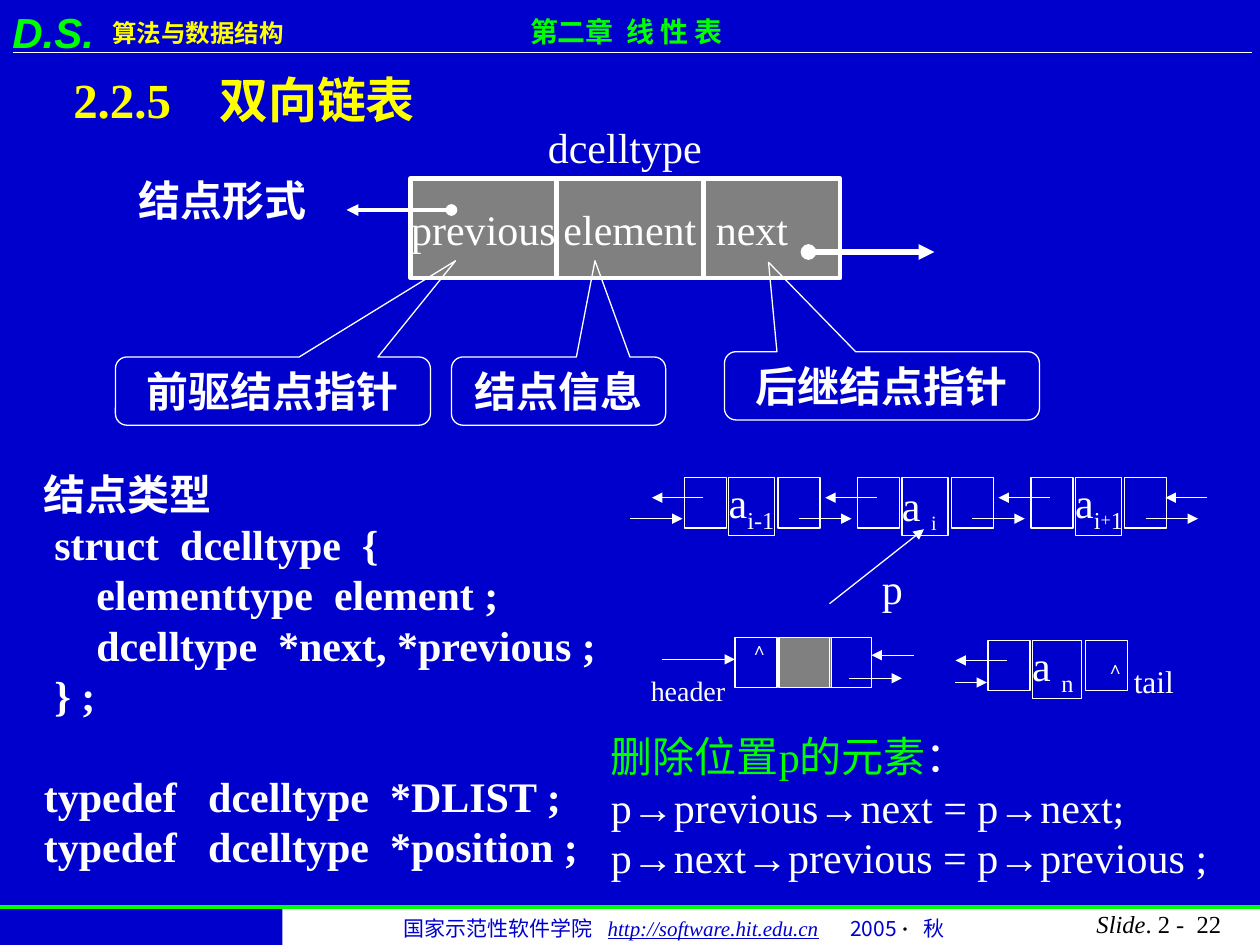
from pptx import Presentation
from pptx.dml.color import RGBColor
from pptx.enum.shapes import MSO_CONNECTOR, MSO_SHAPE
from pptx.enum.text import MSO_ANCHOR, PP_ALIGN
from pptx.oxml.ns import qn
from pptx.util import Inches, Pt
from lxml.etree import SubElement

BLUE = RGBColor(0x00, 0x00, 0xCC)
WHITE = RGBColor(0xFF, 0xFF, 0xFF)
BLACK = RGBColor(0x00, 0x00, 0x00)
YELLOW = RGBColor(0xFF, 0xFF, 0x00)
GREEN = RGBColor(0x00, 0xFF, 0x00)
GRAY = RGBColor(0x80, 0x80, 0x80)
SERIF, SANS, CJK = "Times New Roman", "Arial", "Noto Sans CJK SC"
COLUMNS, ROWS = 120, 90
WIDTH, HEIGHT = Inches(10), Inches(7.5)
CELL_WIDTH, CELL_HEIGHT = 4, 4.8


def col(count):
    return int(WIDTH * count / COLUMNS)


def row(count):
    return int(HEIGHT * count / ROWS)


def box_at(left, top, width, height):
    return col(left), row(top), col(width), row(height)


def style(font, size=None, color=None, bold=None, italic=None, name=None, underline=None):
    values = {"bold": bold, "italic": italic, "name": name, "underline": underline,
              "size": Pt(size) if size else None}
    for key, value in values.items():
        if value is not None:
            setattr(font, key, value)
    if color is not None:
        font.color.rgb = color


def add_tabs(paragraph, stops):
    tab_list = SubElement(paragraph._p.get_or_add_pPr(), qn("a:tabLst"))
    for stop in stops:
        SubElement(tab_list, qn("a:tab"), pos=str(col(stop)), algn="l")


def write(frame, lines, size=24, color=WHITE, bold=False, italic=False, name=SERIF,
          align=PP_ALIGN.LEFT, tabs=()):
    for index, line in enumerate(lines):
        paragraph = frame.add_paragraph() if index else frame.paragraphs[0]
        if tabs:
            add_tabs(paragraph, tabs)
        paragraph.alignment = align
        paragraph.line_spacing = Pt(1.2 * size)
        style(paragraph.font, size, color, bold, italic, name)
        SubElement(paragraph._p.pPr.find(qn("a:defRPr")), qn("a:ea"), typeface=CJK)
        for text, changes in [(line, {})] if isinstance(line, str) else line:
            run = paragraph.add_run()
            run.text = text
            changes = dict(changes)
            if changes.pop("subscript", False):
                run._r.get_or_add_rPr().set("baseline", "-25000")
            style(run.font, **changes)


def add_text(slide, place, lines, wrap=False, **look):
    frame = slide.shapes.add_textbox(*box_at(*place)).text_frame
    frame.word_wrap = wrap
    write(frame, lines, **look)
    return frame


def add_box(slide, place, fill=None, line=0.75, kind=MSO_SHAPE.RECTANGLE):
    box = slide.shapes.add_shape(kind, *box_at(*place))
    box.shadow.inherit = False
    if fill is None:
        box.fill.background()
    else:
        box.fill.solid()
        box.fill.fore_color.rgb = fill
    if line:
        box.line.color.rgb = WHITE
        box.line.width = Pt(line)
    else:
        box.line.fill.background()
    return box


def add_line(slide, start, end, width=0.75, color=WHITE, head=None, tail="triangle"):
    line = slide.shapes.add_connector(MSO_CONNECTOR.STRAIGHT, col(start[0]), row(start[1]),
                                      col(end[0]), row(end[1]))
    line.line.color.rgb = color
    line.line.width = Pt(width)
    for tag, shape_type in (("a:headEnd", head), ("a:tailEnd", tail)):
        if shape_type:
            SubElement(line.line._get_or_add_ln(), qn(tag), type=shape_type)
    SubElement(line._element.spPr, qn("a:effectLst"))


def add_field(slide, left, width, name, align):
    field = add_box(slide, (left, 17, width, 9.5), GRAY, 2.5)
    field.text_frame.word_wrap = False
    field.text_frame.vertical_anchor = MSO_ANCHOR.MIDDLE
    write(field.text_frame, [name], align=align)


def add_callout(slide, place, label, tip):
    callout = add_box(slide, place, kind=MSO_SHAPE.ROUNDED_RECTANGULAR_CALLOUT)
    for index, value in enumerate((*tip, 0.17)):
        callout.adjustments[index] = value
    callout.text_frame.word_wrap = True
    callout.text_frame.vertical_anchor = MSO_ANCHOR.MIDDLE
    write(callout.text_frame, [label], bold=True, align=PP_ALIGN.CENTER)


def add_node(slide, left, top, label=None, middle_width=4.4, next_column=8.9,
             to_previous=True, to_next=True):
    middle_height = 5.5 if label else CELL_HEIGHT
    middle = add_box(slide, (left + 4.2, top, middle_width, middle_height),
                     None if label else GRAY)
    if label:
        frame = middle.text_frame
        frame.word_wrap = False
        frame.vertical_anchor = MSO_ANCHOR.TOP
        frame.margin_left = frame.margin_right = frame.margin_bottom = 0
        frame.margin_top = row(0.6)
        write(frame, [label])
    for column in (0, next_column):
        add_box(slide, (left + column, top, CELL_WIDTH, CELL_HEIGHT))
    if to_next:
        add_line(slide, (left + 10.9, top + 3.9), (left + 15.9, top + 3.9))
    if to_previous:
        add_line(slide, (left + 1.8, top + 1.9), (left - 3.1, top + 1.9))


def add_frame(slide):
    add_text(slide, (9.5, 1.1, 23, 4.1), ["算法与数据结构"], True, size=14, color=YELLOW,
             bold=True, name=CJK)
    add_line(slide, (1.2, 5), (119.2, 5), tail=None)
    add_text(slide, (0, 0, 12, 6), ["D.S."], True, color=GREEN, bold=True, italic=True,
             name=SANS)
    add_line(slide, (0, 86.4), (120, 86.4), 2, GREEN, tail=None)
    add_text(slide, (49.3, 0.8, 23.6, 4.4), ["第二章  线 性 表"], True, size=16,
             color=GREEN, bold=True)
    add_box(slide, (26.9, 86.6, 93.1, 3.4), WHITE, None)
    footer = [("国家示范性软件学院\t", {"name": CJK}),
              ("http://software.hit.edu.cn", {"italic": True, "underline": True}),
              ("\t", {}), ("2005 ", {"name": CJK}), ("·", {"color": BLACK, "bold": True}),
              ("\t秋", {"name": CJK})]
    add_text(slide, (37.3, 86.6, 56.6, 3.6), [footer], True, size=12, color=BLUE,
             tabs=(19.4, 42.5, 49.5))
    add_text(slide, (99.7, 86, 17.8, 4.1), [[("Slide", {"italic": True}), (". 2 -  22", {})]],
             True, size=14, color=BLACK, align=PP_ALIGN.RIGHT)


def add_node_format(slide):
    add_text(slide, (12, 16, 18.4, 6), ["结点形式"], bold=True)
    add_text(slide, (51, 11, 18, 6), ["dcelltype"])
    add_field(slide, 53, 14, "element", PP_ALIGN.CENTER)
    add_field(slide, 67, 13, "next", PP_ALIGN.LEFT)
    add_field(slide, 39.1, 13.9, "previous", PP_ALIGN.CENTER)
    add_line(slide, (77, 24), (89, 24), 3, head="oval")
    add_line(slide, (43, 20), (33, 20), 2.25, head="oval")
    add_callout(slide, (11, 34, 30, 6.5), "前驱结点指针", (0.58, -1.91))
    add_callout(slide, (43, 34, 20.4, 6.5), "结点信息", (0.17, -1.91))
    add_callout(slide, (69, 33.5, 30, 6.5), "后继结点指针", (-0.36, -1.81))


def add_linked_list(slide):
    subscript = {"subscript": True}
    labels = [[("a", {}), ("i-1", subscript)],
              [("a ", {}), ("i", {"subscript": True, "size": 20})],
              [("a", {}), ("i", subscript), ("+", {"subscript": True, "size": 18}),
               ("1", subscript)]]
    for index, label in enumerate(labels):
        add_node(slide, 65.2 + 16.5 * index, 45.5, label)
    add_line(slide, (60, 49.4), (65, 49.4))
    add_line(slide, (115, 47.4), (111, 47.4))
    add_line(slide, (79, 57.5), (88, 50.4))
    add_text(slide, (82.8, 53, 5, 6), ["p"])

    add_node(slide, 70, 60.7, middle_width=5, next_column=9, to_previous=False)
    add_line(slide, (63, 62.8), (70, 62.8))
    add_line(slide, (87, 62.4), (83, 62.4))
    add_text(slide, (60.8, 63.6, 10, 4.4), ["header"], size=16)

    add_node(slide, 94.1, 61, [("a ", {}), ("n", subscript)], 4.7, 9.25, to_next=False)
    add_line(slide, (91, 65), (94, 65))
    add_text(slide, (106.8, 62.5, 7, 4.8), ["tail"], size=18)
    for left, top in ((70.3, 60.2), (104.2, 62)):
        add_text(slide, (left, top, 4, 3.2), ["∧"], size=10)


def add_code(slide):
    declaration = add_text(slide, (3, 44, 55, 39.6), [
        "结点类型", " struct  dcelltype  {", "     elementtype  element ;",
        "     dcelltype  *next, *previous ;", " } ;",
        "typedef   dcelltype  *DLIST ;", "typedef   dcelltype  *position ;"], bold=True)
    declaration.paragraphs[5].space_before = Pt(28.8)
    add_text(slide, (57, 69, 60, 15.6), [
        [("删除位置p的元素", {"color": GREEN}), ("：", {})],
        "p→previous→next = p→next;", "p→next→previous = p→previous ;"])


def main():
    presentation = Presentation()
    presentation.slide_width, presentation.slide_height = WIDTH, HEIGHT
    slide = presentation.slides.add_slide(presentation.slide_layouts[6])
    slide.background.fill.solid()
    slide.background.fill.fore_color.rgb = BLUE
    add_frame(slide)
    add_text(slide, (5.8, 6, 35, 6.8), ["2.2.5\t双向链表"], size=28, color=YELLOW,
             bold=True, tabs=(13.9,))
    add_node_format(slide)
    add_code(slide)
    add_linked_list(slide)
    presentation.save("out.pptx")


if __name__ == "__main__":
    main()
